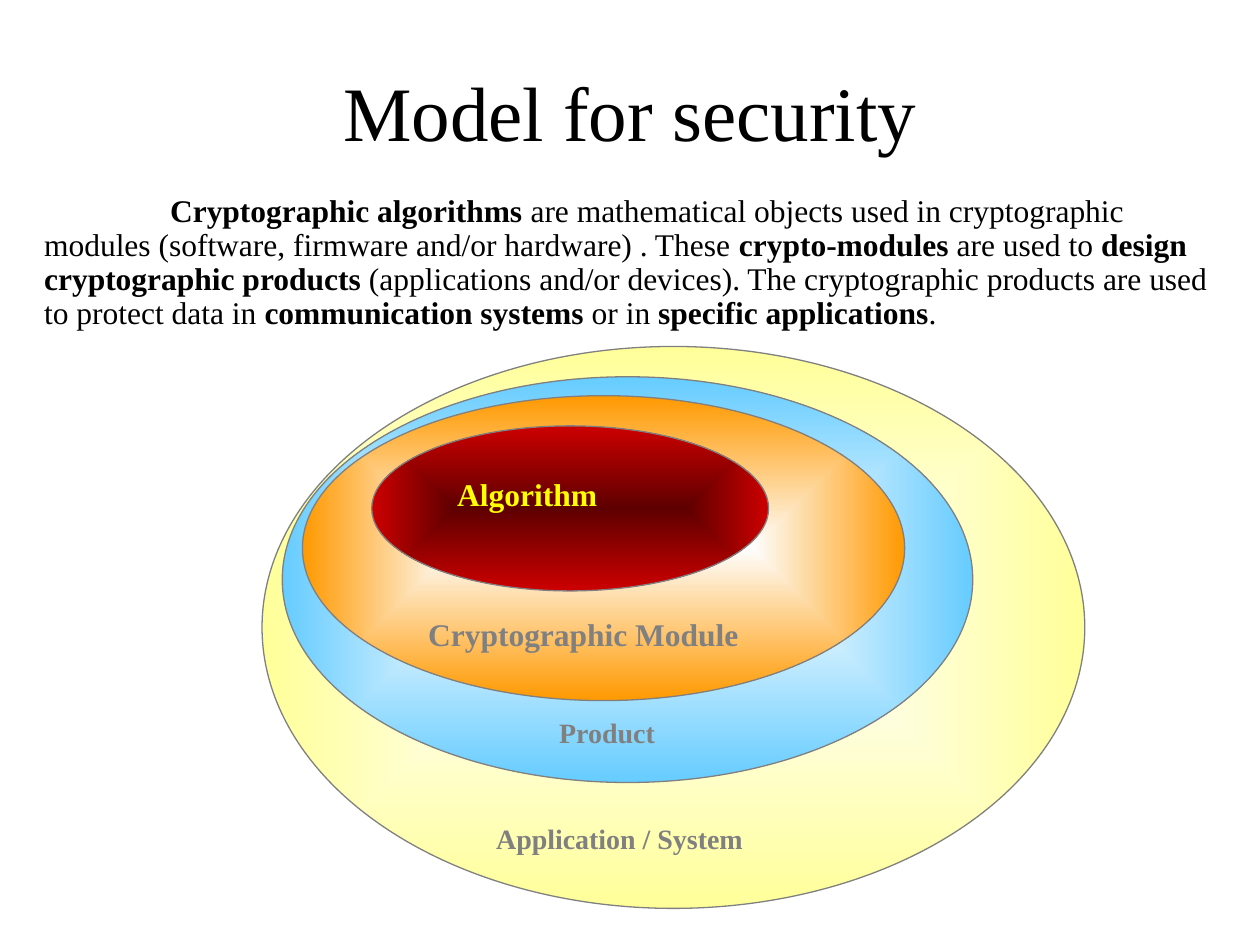
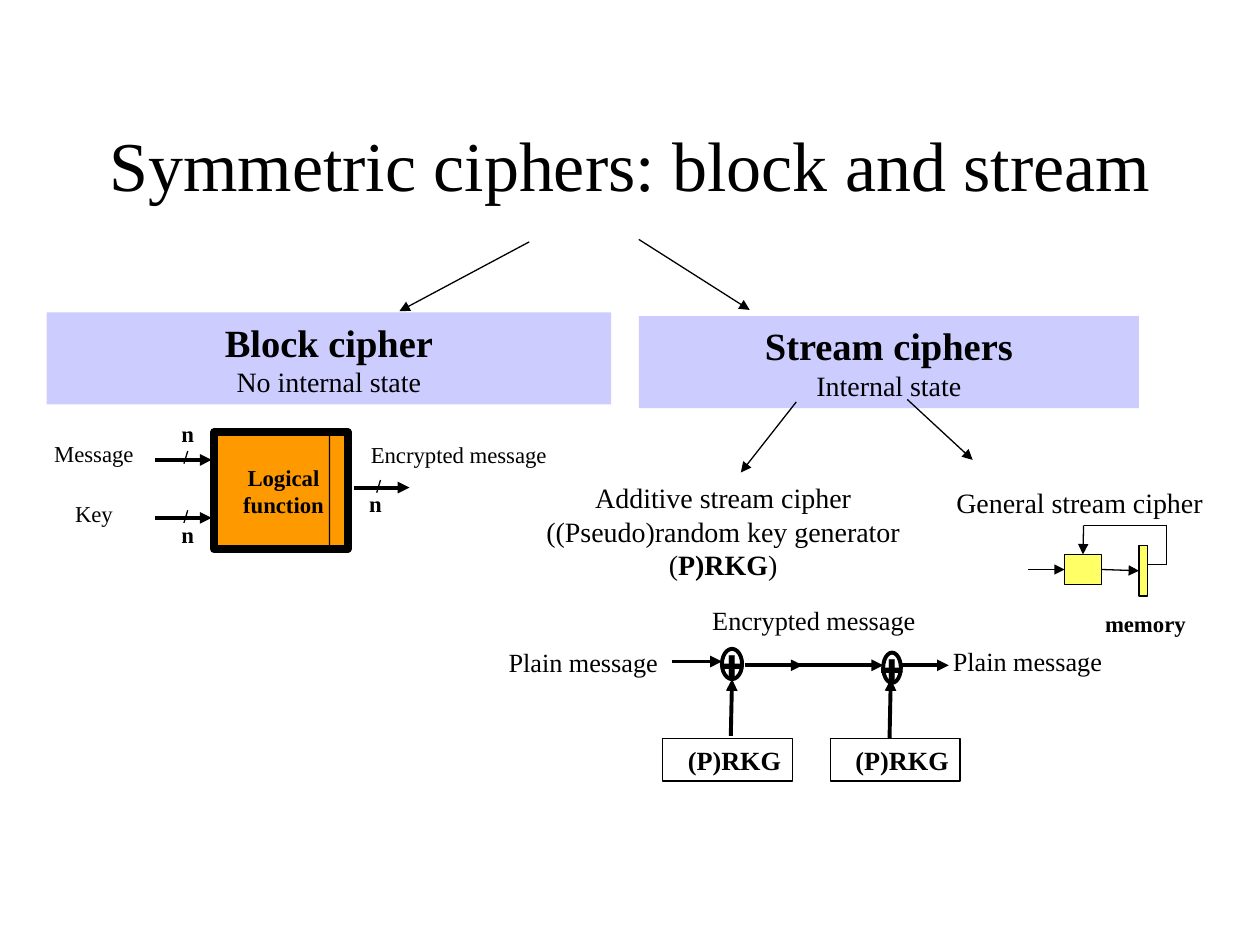
import lxml.etree
import pptx
import pptx.dml.color
import pptx.enum.shapes
import pptx.enum.text
import pptx.oxml.ns
import pptx.util

PX = 9144
SERIF = "Times New Roman"
BLACK, WHITE, GREY = "000000", "FFFFFF", "808080"
BAND, ORANGE, YELLOW = "CCCCFF", "FF9900", "FFFF66"
LEFT = pptx.enum.text.PP_ALIGN.LEFT
CENTER = pptx.enum.text.PP_ALIGN.CENTER
RIGHT = pptx.enum.text.PP_ALIGN.RIGHT
TOP = pptx.enum.text.MSO_ANCHOR.TOP
MIDDLE = pptx.enum.text.MSO_ANCHOR.MIDDLE
RECTANGLE = pptx.enum.shapes.MSO_SHAPE.RECTANGLE
OVAL = pptx.enum.shapes.MSO_SHAPE.OVAL
STRAIGHT = pptx.enum.shapes.MSO_CONNECTOR.STRAIGHT
qn = pptx.oxml.ns.qn


def px(*lengths):
    return [pptx.util.Emu(length * PX) for length in lengths]


def color(value):
    return pptx.dml.color.RGBColor.from_string(value)


def assign(target, formats):
    for attribute, value in formats.items():
        setattr(target, attribute, value)


def place(shape, box):
    assign(shape, dict(zip(("left", "top", "width", "height"), px(*box))))


def write(frame, paragraphs, size, ink=BLACK, bold=False, font=SERIF,
          align=CENTER, anchor=TOP, margins=(9, 5), wrap=True):
    across, down = px(*margins)
    assign(frame, {
        "auto_size": pptx.enum.text.MSO_AUTO_SIZE.NONE,
        "word_wrap": wrap, "vertical_anchor": anchor,
        "margin_left": across, "margin_right": across,
        "margin_top": down, "margin_bottom": down,
    })
    for index, runs in enumerate(paragraphs):
        paragraph = frame.add_paragraph() if index else frame.paragraphs[0]
        paragraph.alignment = align
        for words, changes in runs:
            run = paragraph.add_run()
            run.text = words
            formats = {"name": font, "size": pptx.util.Pt(size), "bold": bold}
            assign(run.font, formats | changes)
            run.font.color.rgb = color(ink)


def plain(*lines):
    return [[(line, {})] for line in lines]


def add_title(slide, words, box, size):
    place(slide.shapes.title, box)
    write(slide.shapes.title.text_frame, plain(words), size,
          anchor=MIDDLE, margins=(10, 5))


def add_label(slide, box, paragraphs, size, **style):
    label = slide.shapes.add_textbox(*px(*box))
    write(label.text_frame, paragraphs, size, **({"wrap": False} | style))


def outline(shape, ink, width):
    if ink is None:
        shape.line.fill.background()
    else:
        shape.line.color.rgb = color(ink)
        shape.line.width = pptx.util.Pt(width)


def add_figure(slide, kind, box, fill=None, ink=BLACK, width=0.75):
    figure = slide.shapes.add_shape(kind, *px(*box))
    figure.shadow.inherit = False
    outline(figure, ink, width)
    if fill is None:
        figure.fill.background()
    else:
        figure.fill.solid()
        figure.fill.fore_color.rgb = color(fill)
    return figure


def add_ring(slide, box, inner, outer):
    ring = add_figure(slide, OVAL, box, outer, GREY)
    ring.fill.gradient()
    for stop, tone in zip(ring.fill.gradient_stops, (inner, outer)):
        stop.color.rgb = color(tone)
    gradient = ring._element.spPr.find(qn("a:gradFill"))
    gradient.remove(gradient.find(qn("a:lin")))
    glow = lxml.etree.SubElement(gradient, qn("a:path"), {"path": "rect"})
    center = dict.fromkeys("ltrb", "50000")
    lxml.etree.SubElement(glow, qn("a:fillToRect"), center)


def add_line(slide, start, end, width=0.75, arrow=True, source=None, target=None):
    line = slide.shapes.add_connector(STRAIGHT, *px(*start, *end))
    if source:
        line.begin_connect(*source)
    if target:
        line.end_connect(*target)
    outline(line, BLACK, width)
    properties = line._element.spPr
    if arrow:
        stroke = properties.find(qn("a:ln"))
        lxml.etree.SubElement(stroke, qn("a:tailEnd"), {"type": "triangle"})
    lxml.etree.SubElement(properties, qn("a:effectLst"))


def add_bevel(slide, outer, inner):
    corners = [((outer[a], outer[b]), (inner[a], inner[b]))
               for a, b in ((0, 1), (2, 1), (2, 3), (0, 3))]
    for index, (near_out, near_in) in enumerate(corners):
        far_out, far_in = corners[(index + 1) % 4]
        builder = slide.shapes.build_freeform(*near_out, scale=PX)
        builder.add_line_segments([near_in, far_in, far_out], close=True)
        edge = builder.convert_to_shape()
        edge.shadow.inherit = False
        edge.fill.solid()
        edge.fill.fore_color.rgb = color(BLACK)
        outline(edge, None, 0)


def add_band(slide, box, heading, note):
    band = add_figure(slide, RECTANGLE, box, BAND, None)
    big = {"size": pptx.util.Pt(22), "bold": True}
    write(band.text_frame, [[(heading, big)], [(note, {})]], 16, anchor=MIDDLE)


def add_explanation(body):
    place(body, (25, 150, 950, 125))
    strong = {"bold": True}
    runs = [
        ("Cryptographic algorithms", strong),
        (" are mathematical objects used in cryptographic modules (software, "
         "firmware and/or hardware) . These ", {}),
        ("crypto-modules", strong),
        (" are used to ", {}),
        ("design cryptographic products", strong),
        (" (applications and/or devices). The cryptographic products are used "
         "to protect data in ", {}),
        ("communication systems", strong),
        (" or in ", {}),
        ("specific applications", strong),
        (".", {}),
    ]
    paragraph = body.text_frame.paragraphs[0]
    properties = paragraph._p.get_or_add_pPr()
    properties.set("marL", "0")
    properties.set("indent", str(100 * PX))
    lxml.etree.SubElement(properties, qn("a:buNone"))
    assign(paragraph, {"line_spacing": 0.9, "space_before": pptx.util.Pt(0)})
    write(body.text_frame, [runs], 18, align=LEFT, margins=(10, 5))


def build_security_model(deck):
    slide = deck.slides.add_slide(deck.slide_layouts[1])
    add_title(slide, "Model for security", (75, 25, 850, 125), 44)
    add_explanation(slide.placeholders[1])
    layers = [
        ("Application / System", (208, 275, 653, 446), "FEFEFE", "FFFF99",
         (384, 647, 216, 37), 16, GREY),
        ("Product", (224, 299, 548, 322), "FEFEFE", "66CCFF",
         (434, 563, 96, 37), 16, GREY),
        ("Cryptographic Module", (240, 314, 478, 242), "FEFEFE", ORANGE,
         (330, 483, 266, 40), 18, GREY),
        ("Algorithm", (295, 338, 315, 131), "5E0000", "CC0000",
         (353, 372, 131, 40), 18, "FFFF00"),
    ]
    for layer, ring, inner, outer, label, size, ink in layers:
        add_ring(slide, ring, inner, outer)
        add_label(slide, label, plain(layer), size, ink=ink, bold=True,
                  align=LEFT, margins=(10, 5))


def draw_block_cipher(slide):
    add_band(slide, (37, 248, 448, 73), "Block cipher", "No internal state")
    add_figure(slide, RECTANGLE, (170, 343, 106, 93), ORANGE, width=4.5)
    add_bevel(slide, (169, 341, 262, 436), (170, 343, 261, 435))
    labels = [
        ((43, 349, 63, 22), ["Message"], False),
        ((59, 397, 31, 22), ["Key"], False),
        ((294, 350, 140, 22), ["Encrypted message"], False),
        ((193, 368, 64, 43), ["Logical", "function"], True),
        ((144, 333, 10, 22), ["n"], True),
        ((144, 413, 10, 22), ["n"], True),
        ((293, 389, 10, 22), ["n"], True),
    ]
    for box, lines, bold in labels:
        add_label(slide, box, plain(*lines), 13, bold=bold, margins=(0, 0))
    for x, y, length, slash in ((123, 365, 45, (149, 358)),
                                (123, 411, 45, (149, 405)),
                                (281, 387, 44, (302, 381))):
        add_line(slide, slash, (slash[0] - 3, slash[1] + 10), arrow=False)
        add_line(slide, (x, y), (x + length, y), 2.25)


def draw_additive_cipher(slide):
    details = [
        [("Additive stream cipher", {})],
        [("((Pseudo)random key generator (", {}), ("P)RKG", {"bold": True}), (")", {})],
    ]
    add_label(slide, (406, 377, 336, 89), details, 16, anchor=MIDDLE, wrap=True)
    for box, words in (((556, 475, 180, 34), "Encrypted message"),
                       ((396, 508, 134, 34), "Plain message"),
                       ((747, 507, 137, 34), "Plain message")):
        add_label(slide, box, plain(words), 15)
    for generator_left, adder_box in ((526, (573, 515, 16, 24)),
                                      (659, (701, 518, 14, 24))):
        generator = add_figure(slide, RECTANGLE, (generator_left, 586, 103, 34))
        write(generator.text_frame, plain("(P)RKG"), 15, bold=True, align=RIGHT)
        adder = add_figure(slide, OVAL, adder_box, WHITE, width=2.25)
        write(adder.text_frame, plain("+"), 25, bold=True, font="Roboto Slab",
              anchor=MIDDLE, wrap=False)
    for start, end in (((533, 525), (573, 525)), ((591, 528), (637, 528)),
                       ((633, 528), (701, 528)), ((716, 528), (753, 528)),
                       ((580, 584), (581, 539)), ((706, 586), (707, 539))):
        add_line(slide, start, end, 2.25)


def draw_general_cipher(slide):
    add_label(slide, (750, 381, 228, 36), plain("General stream cipher"), 16,
              align=LEFT, anchor=MIDDLE, wrap=True)
    memory = add_figure(slide, RECTANGLE, (904, 433, 7, 40), YELLOW)
    function = add_figure(slide, RECTANGLE, (845, 440, 29, 24), YELLOW)
    feedback = [(911, 448), (926, 448), (926, 417), (860, 417)]
    for start, end in zip(feedback, feedback[1:]):
        add_line(slide, start, end, arrow=False)
    add_line(slide, feedback[-1], (860, 440), target=(function, 0))
    add_line(slide, (816, 452), (845, 452), target=(function, 1))
    add_line(slide, (874, 452), (904, 453), source=(function, 3), target=(memory, 1))
    add_label(slide, (868, 479, 82, 31), plain("memory"), 13, bold=True, anchor=MIDDLE)


def build_symmetric_ciphers(deck):
    slide = deck.slides.add_slide(deck.slide_layouts[5])
    add_title(slide, "Symmetric ciphers: block and stream", (75, 67, 850, 125), 40)
    draw_block_cipher(slide)
    add_band(slide, (507, 251, 397, 73), "Stream ciphers", "Internal state")
    for start, end in (((420, 192), (317, 247)), ((507, 190), (595, 246)),
                       ((632, 319), (588, 375)), ((720, 317), (772, 365))):
        add_line(slide, start, end)
    draw_additive_cipher(slide)
    draw_general_cipher(slide)


def main():
    deck = pptx.Presentation()
    deck.slide_width, deck.slide_height = px(1000, 750)
    build_security_model(deck)
    build_symmetric_ciphers(deck)
    deck.save("out.pptx")


if __name__ == "__main__":
    main()
